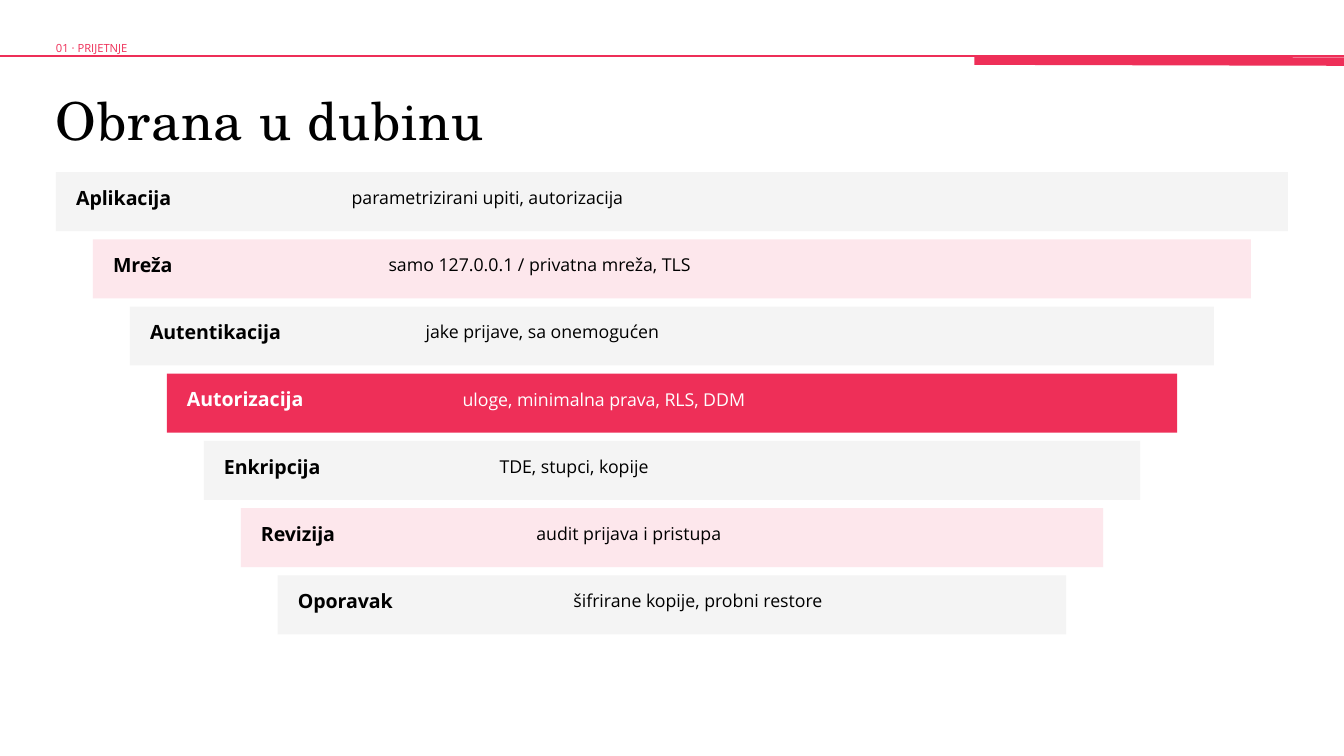
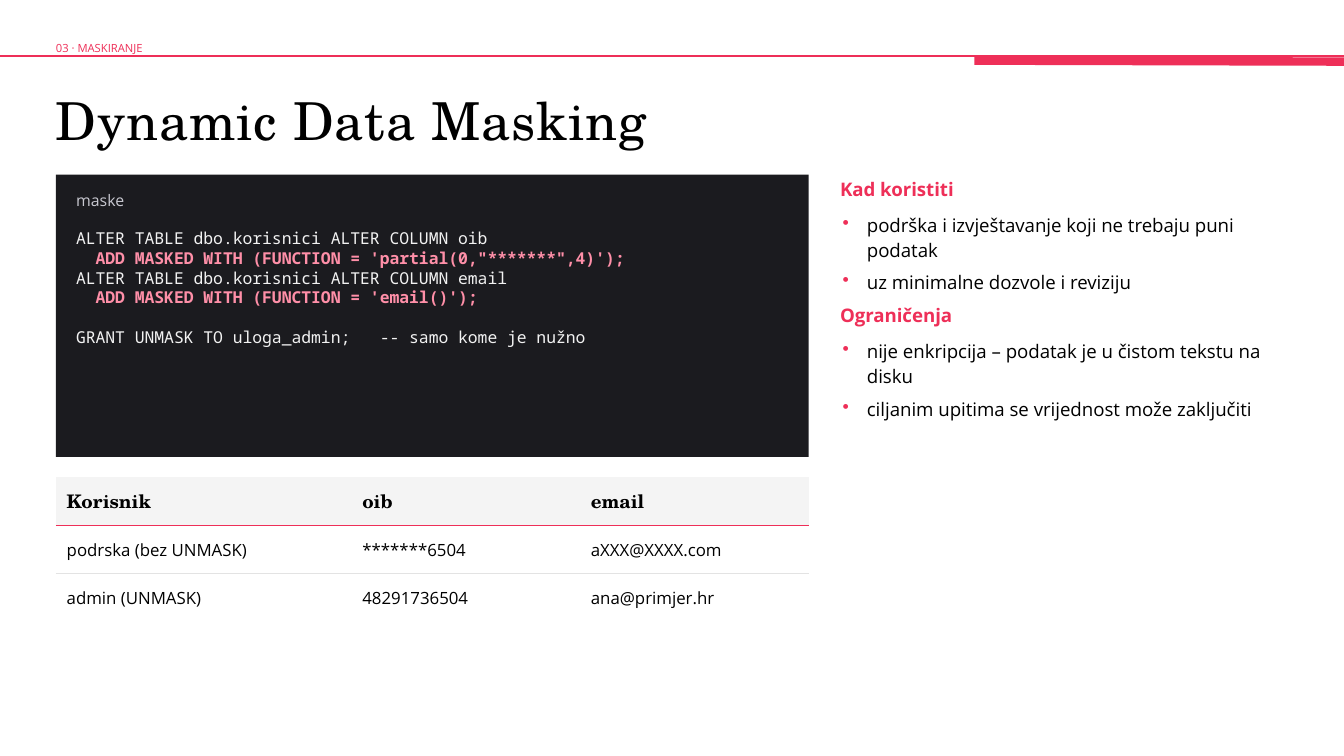
import pptx
import pptx.dml.color
import pptx.enum.shapes
import pptx.enum.text
import pptx.oxml
import pptx.oxml.ns
import pptx.util
from lxml import etree

Pt = pptx.util.Pt
qn = pptx.oxml.ns.qn
COLORS = {
    "accent": "EE2F58", "blush": "FDE7EC", "grey": "F4F4F4", "rule": "E3E3E3",
    "ink": "000000", "white": "FFFFFF", "code_bg": "1B1B1F", "code": "F2F2F2",
    "code_key": "FF8FA8", "code_label": "C8C8D0",
}
RGB = {name: pptx.dml.color.RGBColor.from_string(h) for name, h in COLORS.items()}
SANS, SERIF, MONO = "Open Sans", "TeX Gyre Schola", "Noto Sans Mono"
LEFT, WIDTH = 30, 660
BODY = {"line_spacing": 1.12, "space_after": Pt(4)}


def add_text(s, box, lines):
    """Add a text box; each line is (text, size, font, colour, bold, paragraph format)."""
    tb = s.shapes.add_textbox(*map(Pt, box))
    tf = tb.text_frame
    tf.word_wrap = True
    for side in ("left", "top", "right", "bottom"):
        setattr(tf, f"margin_{side}", 0)
    for i, (text, size, font, color, bold, fmt) in enumerate(lines):
        p = tf.paragraphs[0] if i == 0 else tf.add_paragraph()
        for name, value in fmt.items():
            setattr(p, name, value)
        r = p.add_run()
        r.text = text
        r.font.size, r.font.name, r.font.bold = Pt(size), font, bold
        r.font.color.rgb = RGB[color]
    return tf


def add_panel(s, box, color):
    sp = s.shapes.add_shape(pptx.enum.shapes.MSO_SHAPE.RECTANGLE, *map(Pt, box))
    sp.shadow.inherit = False
    sp.fill.solid()
    sp.fill.fore_color.rgb = RGB[color]
    sp.line.fill.background()


prs = pptx.Presentation()
prs.slide_width, prs.slide_height = Pt(720), Pt(405)

# Shared header: rules, title and section label
slides = []
for title, section in [("Obrana u dubinu", "01 · PRIJETNJE"),
                       ("Dynamic Data Masking", "03 · MASKIRANJE")]:
    s = prs.slides.add_slide(prs.slide_layouts[6])
    slides.append(s)
    for x1, y1, x2, y2, width in [(720, 30, 0, 30, 1), (720, 33, 522, 32.5, 4.5)]:
        line = s.shapes.add_connector(pptx.enum.shapes.MSO_CONNECTOR.STRAIGHT,
                                      Pt(x1), Pt(y1), Pt(x2), Pt(y2))
        line.line.color.rgb = RGB["accent"]
        line.line.width = Pt(width)
        etree.SubElement(line._element.spPr, qn("a:effectLst"))
    tf = add_text(s, (LEFT, 47.5, 626.4, 30), [(title, 28, SERIF, "ink", False, {})])
    tf.paragraphs[0].runs[0]._r.get_or_add_rPr().set("spc", "50")
    add_text(s, (LEFT, 17.3, 626.4, 10.8),
             [(section, 6, SANS, "accent", False, {"line_spacing": Pt(12)})])

defence, masking = slides

# Defence layers: each band is narrower than the one above
layers = [
    ("Aplikacija", "parametrizirani upiti, autorizacija", "grey"),
    ("Mreža", "samo 127.0.0.1 / privatna mreža, TLS", "blush"),
    ("Autentikacija", "jake prijave, sa onemogućen", "grey"),
    ("Autorizacija", "uloge, minimalna prava, RLS, DDM", "accent"),
    ("Enkripcija", "TDE, stupci, kopije", "grey"),
    ("Revizija", "audit prijava i pristupa", "blush"),
    ("Oporavak", "šifrirane kopije, probni restore", "grey"),
]
for i, (layer, measures, fill) in enumerate(layers):
    x, y, w = LEFT + 19.8 * i, 92.2 + 36 * i, WIDTH - 39.6 * i
    color = "white" if fill == "accent" else "ink"
    add_panel(defence, (x, y, w, 31.6), fill)
    add_text(defence, (x + 10.8, y + 5.8, 144, 21.6),
             [(layer, 10.5, SANS, color, True, BODY)])
    add_text(defence, (x + 158.4, y + 6.5, w - 172.8, 21.6),
             [(measures, 9.5, SANS, color, False, BODY)])

# Code panel
add_panel(masking, (LEFT, 93.6, 403.2, 151.2), "code_bg")
add_text(masking, (40.8, 100.8, 381.6, 15.8),
         [("maske", 8.5, SANS, "code_label", False, BODY)])
code = [
    ("ALTER TABLE dbo.korisnici ALTER COLUMN oib", False, {}),
    ("  ADD MASKED WITH (FUNCTION = 'partial(0,\"*******\",4)');", True, {}),
    ("ALTER TABLE dbo.korisnici ALTER COLUMN email", False, {}),
    ("  ADD MASKED WITH (FUNCTION = 'email()');", True, {}),
    ("GRANT UNMASK TO uloga_admin;   -- samo kome je nužno", False,
     {"space_before": Pt(10.6)}),
]
add_text(masking, (40.8, 122.4, 381.6, 116.6),
         [(text, 8.8, MONO, "code_key" if key else "code", key, fmt)
          for text, key, fmt in code])

# Table of what each user sees
rows = [("Korisnik", "oib", "email"),
        ("podrska (bez UNMASK)", "*******6504", "aXXX@XXXX.com"),
        ("admin (UNMASK)", "48291736504", "ana@primjer.hr")]
row_rules = [("accent", 1), ("rule", 0.5), None]
table = masking.shapes.add_table(3, 3, Pt(LEFT), Pt(255.6), Pt(403.2), Pt(77.8)).table
table.horz_banding = False
table._tbl.tblPr.find(qn("a:tableStyleId")).text = "{2D5ABB26-0587-4C30-8999-92F81FD0307C}"
for col, width in zip(table.columns, (158.4, 122.4, 122.4)):
    col.width = Pt(width)
for i, (values, rule) in enumerate(zip(rows, row_rules)):
    table.rows[i].height = Pt(25.92)
    header = i == 0
    for j, value in enumerate(values):
        cell = table.cell(i, j)
        cell.vertical_anchor = pptx.enum.text.MSO_ANCHOR.MIDDLE
        cell.margin_left = cell.margin_right = Pt(5.76)
        cell.margin_top = cell.margin_bottom = Pt(2.88)
        if header:
            cell.fill.solid()
            cell.fill.fore_color.rgb = RGB["grey"]
        else:
            cell.fill.background()
        r = cell.text_frame.paragraphs[0].add_run()
        r.text = value
        r.font.name, r.font.size = (SERIF, Pt(10)) if header else (SANS, Pt(9))
        r.font.bold = header
        r.font.color.rgb = RGB["ink"]
        if rule:
            color, width = rule
            ln = etree.Element(qn("a:lnB"), w=str(Pt(width)))
            paint = etree.SubElement(ln, qn("a:solidFill"))
            etree.SubElement(paint, qn("a:srgbClr"), val=COLORS[color])
            cell._tc.get_or_add_tcPr().insert(0, ln)

# Usage notes
notes = [
    ("Kad koristiti", True),
    ("podrška i izvještavanje koji ne trebaju puni podatak", False),
    ("uz minimalne dozvole i reviziju", False),
    ("Ograničenja", True),
    ("nije enkripcija – podatak je u čistom tekstu na disku", False),
    ("ciljanim upitima se vrijednost može zaključiti", False),
]
tf = add_text(masking, (450, 93.6, 240, 248.4),
              [(text, 10, SANS, "accent" if heading else "ink", heading,
                {**BODY, "space_after": Pt(6 if heading else 4)})
               for text, heading in notes])
for p, (_, heading) in zip(tf.paragraphs, notes):
    if not heading:
        pPr = p._p.get_or_add_pPr()
        pPr.set("marL", str(Pt(14.4)))
        pPr.set("indent", str(Pt(-12.96)))
        paint = etree.SubElement(pPr, qn("a:buClr"))
        etree.SubElement(paint, qn("a:srgbClr"), val=COLORS["accent"])
        etree.SubElement(pPr, qn("a:buChar"), char="•")

prs.save("out.pptx")
